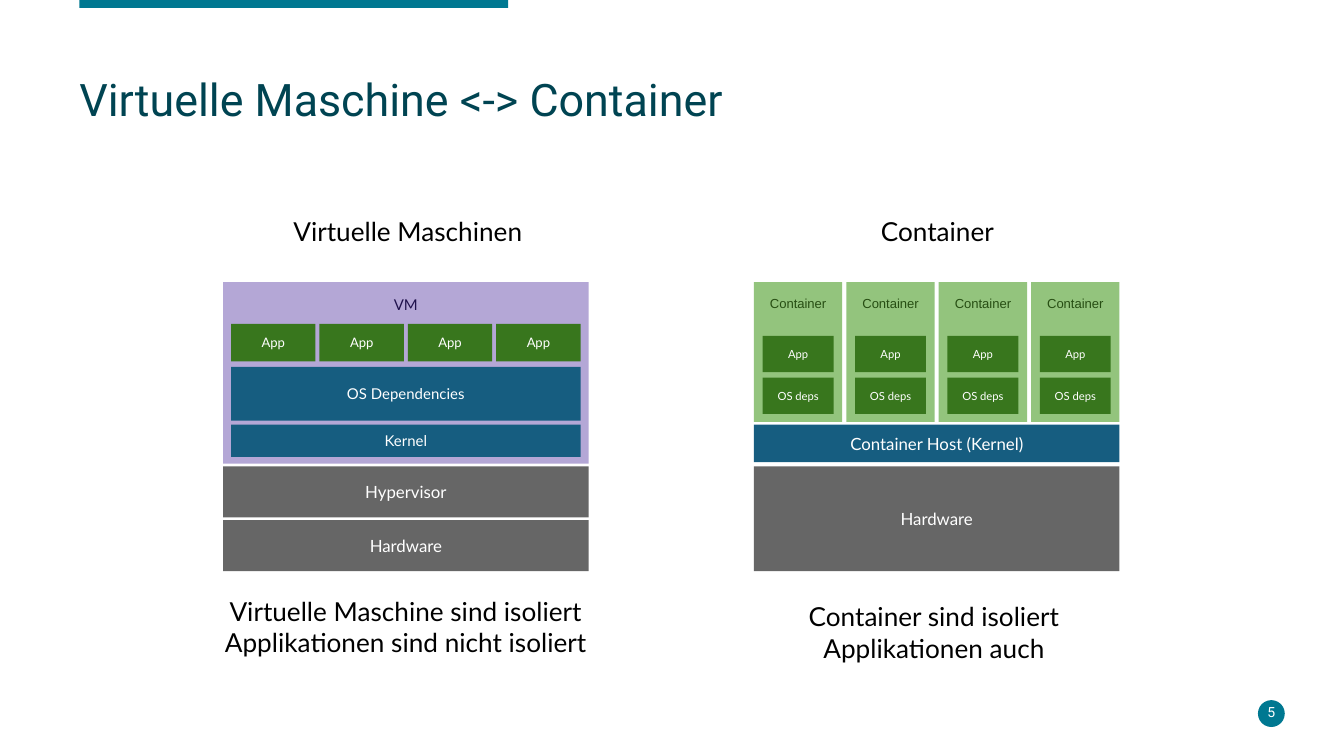
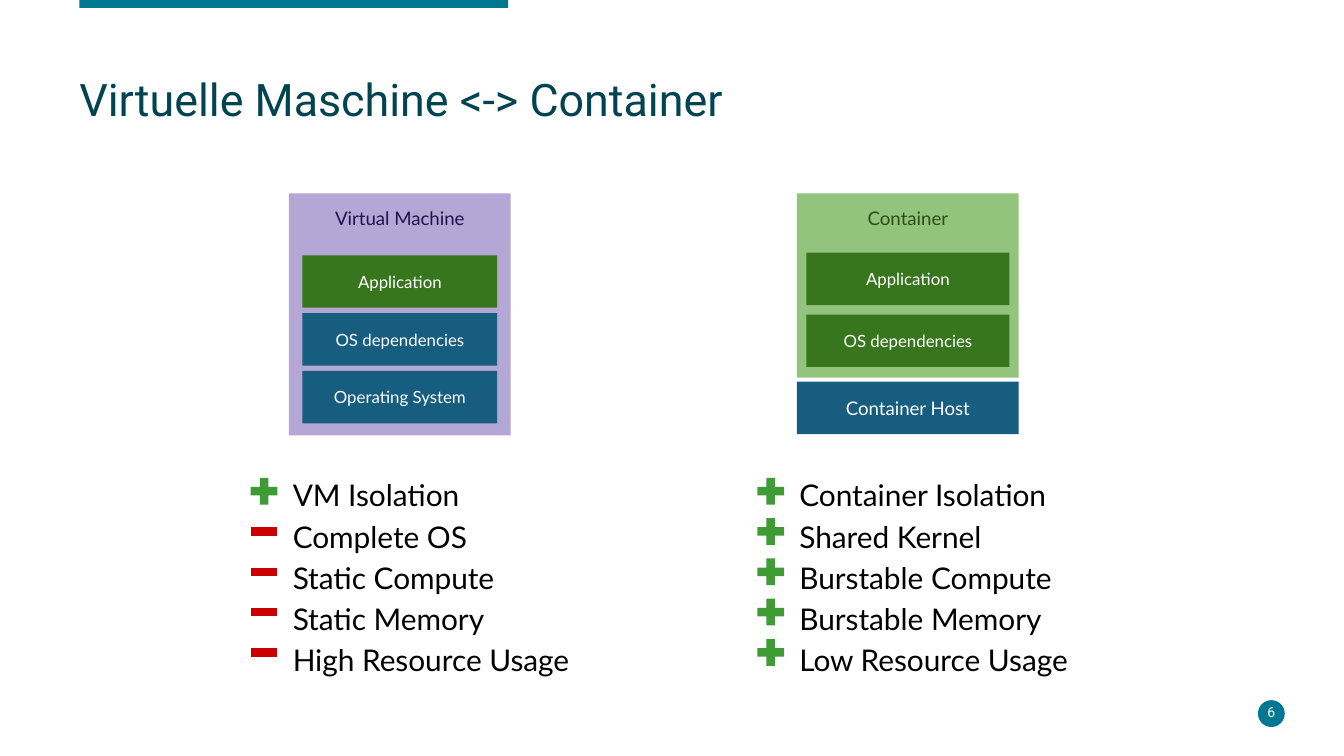
from dataclasses import dataclass

from pptx import Presentation
from pptx.dml.color import RGBColor
from pptx.enum.shapes import MSO_SHAPE
from pptx.enum.text import MSO_ANCHOR, PP_ALIGN
from pptx.util import Pt

PX = 9144  # 100 px to the inch
SLIDE_WIDTH = 1000
BLANK_LAYOUT = 6


@dataclass(frozen=True)
class Theme:
    # Colours
    accent: str = "007891"
    title: str = "004452"
    ink: str = "000000"
    white: str = "FFFFFF"
    vm: str = "B4A7D6"
    vm_ink: str = "20124D"
    container: str = "93C47D"
    container_ink: str = "274E13"
    app: str = "38761D"
    system: str = "165D80"
    hardware: str = "666666"
    pro: str = "3F9C35"
    con: str = "CC0000"
    # Fonts
    body_font: str = "Lato"
    title_font: str = "Roboto"
    small_font: str = "Arial"
    # Type sizes
    title_size: float = 24
    list_size: float = 16
    caption_size: float = 14
    heading_size: float = 10
    layer_size: float = 9
    part_size: float = 8
    app_size: float = 7
    tiny_size: float = 6
    number_size: float = 7.5


THEME = Theme()


@dataclass(frozen=True)
class Box:
    left: float
    top: float
    width: float
    height: float

    def emu(self):
        return [round(length * PX) for length in
                (self.left, self.top, self.width, self.height)]

    def band(self, top, height, inset=0):
        """Horizontal strip inside this box."""
        return Box(self.left + inset, self.top + top,
                   self.width - 2 * inset, height)

    def columns(self, count, gap):
        width = (self.width - gap * (count - 1)) / count
        return [Box(self.left + i * (width + gap), self.top, width, self.height)
                for i in range(count)]


def write(frame, text, size, color, font=THEME.body_font, align=PP_ALIGN.CENTER,
          anchor=MSO_ANCHOR.TOP, inset=10, spacing=None):
    frame.word_wrap = True
    frame.vertical_anchor = anchor
    frame.margin_left = frame.margin_right = inset * PX
    frame.margin_top = frame.margin_bottom = inset * PX
    frame.text = text
    for paragraph in frame.paragraphs:
        paragraph.alignment = align
        paragraph.line_spacing = spacing
        for run in paragraph.runs:
            run.font.size = Pt(size)
            run.font.name = font
            run.font.color.rgb = RGBColor.from_string(color)


def label(shapes, box, text, size, color, **style):
    write(shapes.add_textbox(*box.emu()).text_frame, text, size, color, **style)


def solid(shapes, box, fill, kind=MSO_SHAPE.RECTANGLE):
    shape = shapes.add_shape(kind, *box.emu())
    shape.shadow.inherit = False
    shape.fill.solid()
    shape.fill.fore_color.rgb = RGBColor.from_string(fill)
    shape.line.fill.background()
    return shape


def block(shapes, box, text, fill, size):
    write(solid(shapes, box, fill).text_frame, text, size, THEME.white,
          anchor=MSO_ANCHOR.MIDDLE)


def enclosure(shapes, box, text, fill, size, color, font=THEME.body_font):
    write(solid(shapes, box, fill).text_frame, text, size, color, font=font)


# Band, title and page number shared by the slides
def titled_slide(deck, title, number):
    slide = deck.slides.add_slide(deck.slide_layouts[BLANK_LAYOUT])
    shapes = slide.shapes
    solid(shapes, Box(59, 0, 319, 6), THEME.accent)
    solid(shapes, Box(936, 521, 20, 20), THEME.accent, MSO_SHAPE.OVAL)
    label(shapes, Box(931, 522, 30, 16), str(number), THEME.number_size,
          THEME.white, font=THEME.title_font, anchor=MSO_ANCHOR.MIDDLE, inset=0)
    label(shapes, Box(59, 58, 872, 43), title, THEME.title_size, THEME.title,
          font=THEME.title_font, align=PP_ALIGN.LEFT, inset=0, spacing=0.9)
    return slide


# Stack with one VM on a hypervisor
def vm_stack(slide, box):
    shapes = slide.shapes.add_group_shape().shapes
    enclosure(shapes, box.band(0, 135), "VM", THEME.vm, THEME.part_size,
              THEME.vm_ink)
    for app in box.band(31, 28, inset=6).columns(4, gap=3):
        block(shapes, app, "App", THEME.app, THEME.app_size)
    for text, top, height, inset, fill, size in (
            ("OS Dependencies", 63, 40, 6, THEME.system, THEME.part_size),
            ("Kernel", 106, 24, 6, THEME.system, THEME.part_size),
            ("Hypervisor", 137, 38, 0, THEME.hardware, THEME.layer_size),
            ("Hardware", 177, 38, 0, THEME.hardware, THEME.layer_size)):
        block(shapes, box.band(top, height, inset), text, fill, size)


# Stack with several containers on one host
def container_stack(slide, box):
    shapes = slide.shapes.add_group_shape().shapes
    for container in box.band(0, 104).columns(4, gap=3):
        enclosure(shapes, container, "Container", THEME.container,
                  THEME.app_size, THEME.container_ink, THEME.small_font)
        for text, top in (("App", 40), ("OS deps", 71)):
            block(shapes, container.band(top, 27, inset=6.5), text,
                  THEME.app, THEME.tiny_size)
    block(shapes, box.band(106, 28), "Container Host (Kernel)", THEME.system,
          THEME.layer_size)
    block(shapes, box.band(137, 78), "Hardware", THEME.hardware,
          THEME.layer_size)


# Single VM with its layers
def vm_detail(slide, box):
    shapes = slide.shapes.add_group_shape().shapes
    enclosure(shapes, box, "Virtual Machine", THEME.vm, THEME.heading_size,
              THEME.vm_ink)
    layers = (("Application", THEME.app), ("OS dependencies", THEME.system),
              ("Operating System", THEME.system))
    for i, (text, fill) in enumerate(layers):
        block(shapes, box.band(46 + 43 * i, 39, inset=10), text, fill,
              THEME.layer_size)


# Single container above its host
def container_detail(slide, box):
    shapes = slide.shapes.add_group_shape().shapes
    block(shapes, box.band(140, 39), "Container Host", THEME.system,
          THEME.heading_size)
    enclosure(shapes, box.band(0, 137), "Container", THEME.container,
              THEME.heading_size, THEME.container_ink)
    for i, text in enumerate(("Application", "OS dependencies")):
        block(shapes, box.band(44 + 46 * i, 39, inset=7), text, THEME.app,
              THEME.layer_size)


# List with a plus or minus sign before each line
def rated_list(slide, box, ratings):
    shapes = slide.shapes.add_group_shape().shapes
    text_box = Box(box.left + 25, box.top, box.width - 25, box.height)
    label(shapes, text_box, "\n".join(text for _, text in ratings),
          THEME.list_size, THEME.ink, align=PP_ALIGN.LEFT, spacing=1.15)
    signs = {"+": (MSO_SHAPE.MATH_PLUS, THEME.pro),
             "-": (MSO_SHAPE.MATH_MINUS, THEME.con)}
    for i, (rating, _) in enumerate(ratings):
        kind, fill = signs[rating]
        sign = solid(shapes, Box(box.left, box.top + 11 + 30 * i, 27, 27),
                     fill, kind)
        sign.adjustments[0] = 0.235


def isolation_slide(deck, title, number):
    slide = titled_slide(deck, title, number)
    for box, text in (
            (Box(194, 150, 219, 38), "Virtuelle Maschinen"),
            (Box(600, 150, 195, 38), "Container"),
            (Box(114, 433, 376, 47), "Virtuelle Maschine sind isoliert\n"
                                     "Applikationen sind nicht isoliert"),
            (Box(542, 437, 306, 47), "Container sind isoliert\n"
                                     "Applikationen auch")):
        label(slide.shapes, box, text, THEME.caption_size, THEME.ink)
    vm_stack(slide, Box(166, 210, 272, 215))
    container_stack(slide, Box(561, 210, 272, 215))


def rating_slide(deck, title, number):
    slide = titled_slide(deck, title, number)
    container_detail(slide, Box(593, 144, 165, 179))
    vm_detail(slide, Box(215, 144, 165, 180))
    rated_list(slide, Box(183, 341, 297, 159), (
        ("+", "VM Isolation"), ("-", "Complete OS"), ("-", "Static Compute"),
        ("-", "Static Memory"), ("-", "High Resource Usage")))
    rated_list(slide, Box(560, 341, 305, 159), (
        ("+", "Container Isolation"), ("+", "Shared Kernel"),
        ("+", "Burstable Compute"), ("+", "Burstable Memory"),
        ("+", "Low Resource Usage")))


def main():
    deck = Presentation()
    deck.slide_width = SLIDE_WIDTH * PX
    deck.slide_height = deck.slide_width * 9 // 16
    title = "Virtuelle Maschine <-> Container"
    for number, build in enumerate((isolation_slide, rating_slide), start=5):
        build(deck, title, number)
    deck.save("out.pptx")


if __name__ == "__main__":
    main()
